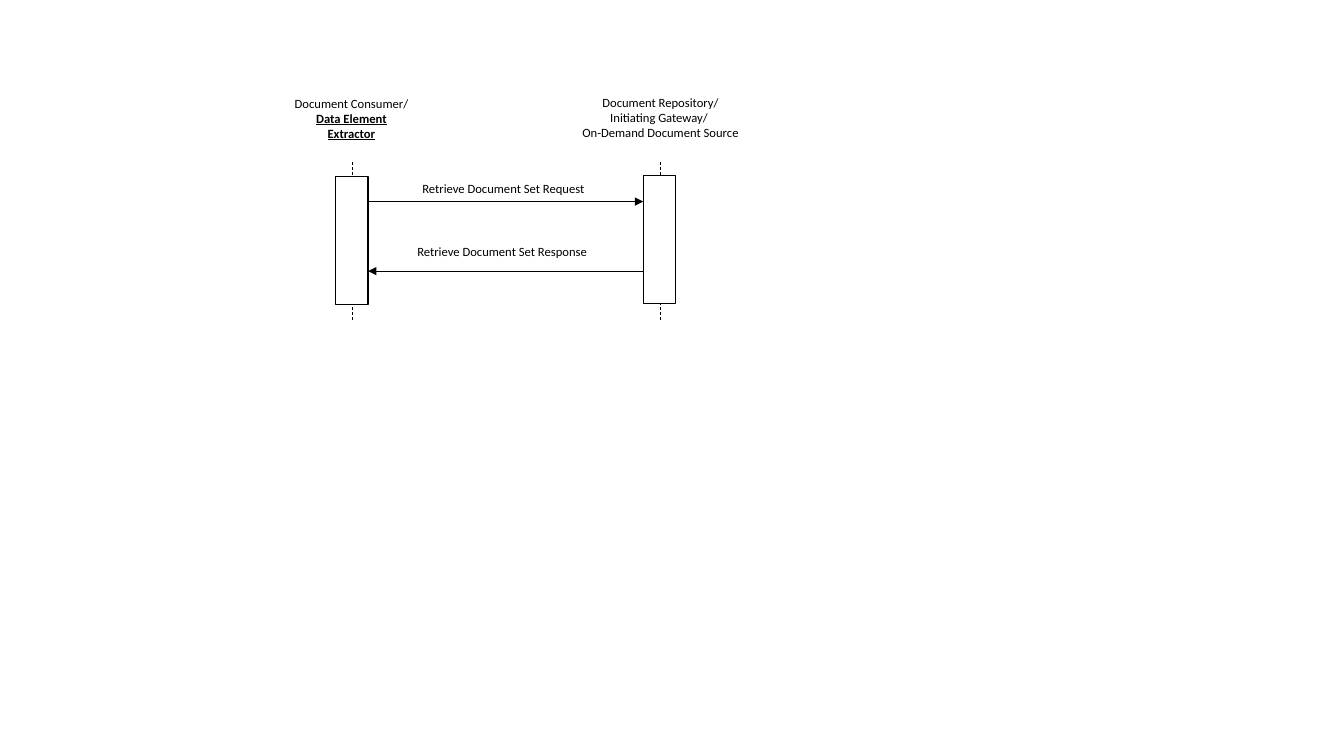
from pptx import Presentation
from pptx.dml.color import RGBColor
from pptx.enum import dml, shapes, text
from pptx.oxml.ns import qn
from pptx.util import Inches, Pt
from lxml import etree

COLORS = {"ink": "000000", "paper": "FFFFFF"}
INK = RGBColor.from_string(COLORS["ink"])
PAPER = RGBColor.from_string(COLORS["paper"])

deck = Presentation()
deck.slide_width, deck.slide_height = Inches(13.33), Inches(7.5)
slide = deck.slides.add_slide(deck.slide_layouts[6])


def add_line(x1, y1, x2, y2):
    line = slide.shapes.add_connector(
        shapes.MSO_CONNECTOR.STRAIGHT, *map(Inches, (x1, y1, x2, y2)))
    line.line.color.rgb = INK
    line.line.width = Pt(0.5)
    etree.SubElement(line._element.spPr, qn("a:effectLst"))
    return line


def add_label(left, top, width, height, lines, align, emphasis=()):
    label = slide.shapes.add_textbox(*map(Inches, (left, top, width, height)))
    frame = label.text_frame
    frame.word_wrap = True
    frame.auto_size = text.MSO_AUTO_SIZE.SHAPE_TO_FIT_TEXT
    for i, words in enumerate(lines):
        paragraph = frame.paragraphs[0] if i == 0 else frame.add_paragraph()
        paragraph.alignment = align
        run = paragraph.add_run()
        run.text = words
        strong = words in emphasis
        formats = {"name": "Calibri", "size": Pt(9), "bold": strong, "underline": strong}
        for key, value in formats.items():
            setattr(run.font, key, value)
        run.font.color.rgb = INK


# Actors: name, lifeline and activation bar
actors = [
    (3.49, (2.81, 0.9, 1.35, 0.56), (3.33, 1.75),
     ["Document Consumer/", "Data Element Extractor"]),
    (6.55, (5.65, 0.89, 1.8, 0.56), (6.38, 1.74),
     ["Document Repository/", "Initiating Gateway/ ", "On-Demand Document Source"]),
]
for lifeline_x, name_box, (bar_left, bar_top), name_lines in actors:
    lifeline = add_line(lifeline_x, 1.61, lifeline_x, 3.18)
    lifeline.line.dash_style = dml.MSO_LINE.DASH
    add_label(*name_box, name_lines, text.PP_ALIGN.CENTER,
              emphasis=["Data Element Extractor"])
    activation = slide.shapes.add_shape(
        shapes.MSO_SHAPE.RECTANGLE, *map(Inches, (bar_left, bar_top, 0.32, 1.27)))
    activation.shadow.inherit = False
    activation.fill.solid()
    activation.fill.fore_color.rgb = PAPER
    activation.line.color.rgb = INK
    activation.line.width = Pt(1)

# Messages: arrow from sender to receiver, with its caption
messages = [
    (3.65, 6.38, 2, (4.09, 1.75, 1.88, 0.25), "Retrieve Document Set Request"),
    (6.38, 3.65, 2.69, (4.04, 2.37, 1.98, 0.25), "Retrieve Document Set Response"),
]
for sender_x, receiver_x, y, caption_box, caption in messages:
    arrow = add_line(sender_x, y, receiver_x, y)
    etree.SubElement(arrow.line._get_or_add_ln(), qn("a:tailEnd"), type="triangle")
    add_label(*caption_box, [caption], text.PP_ALIGN.LEFT)

deck.save("out.pptx")
